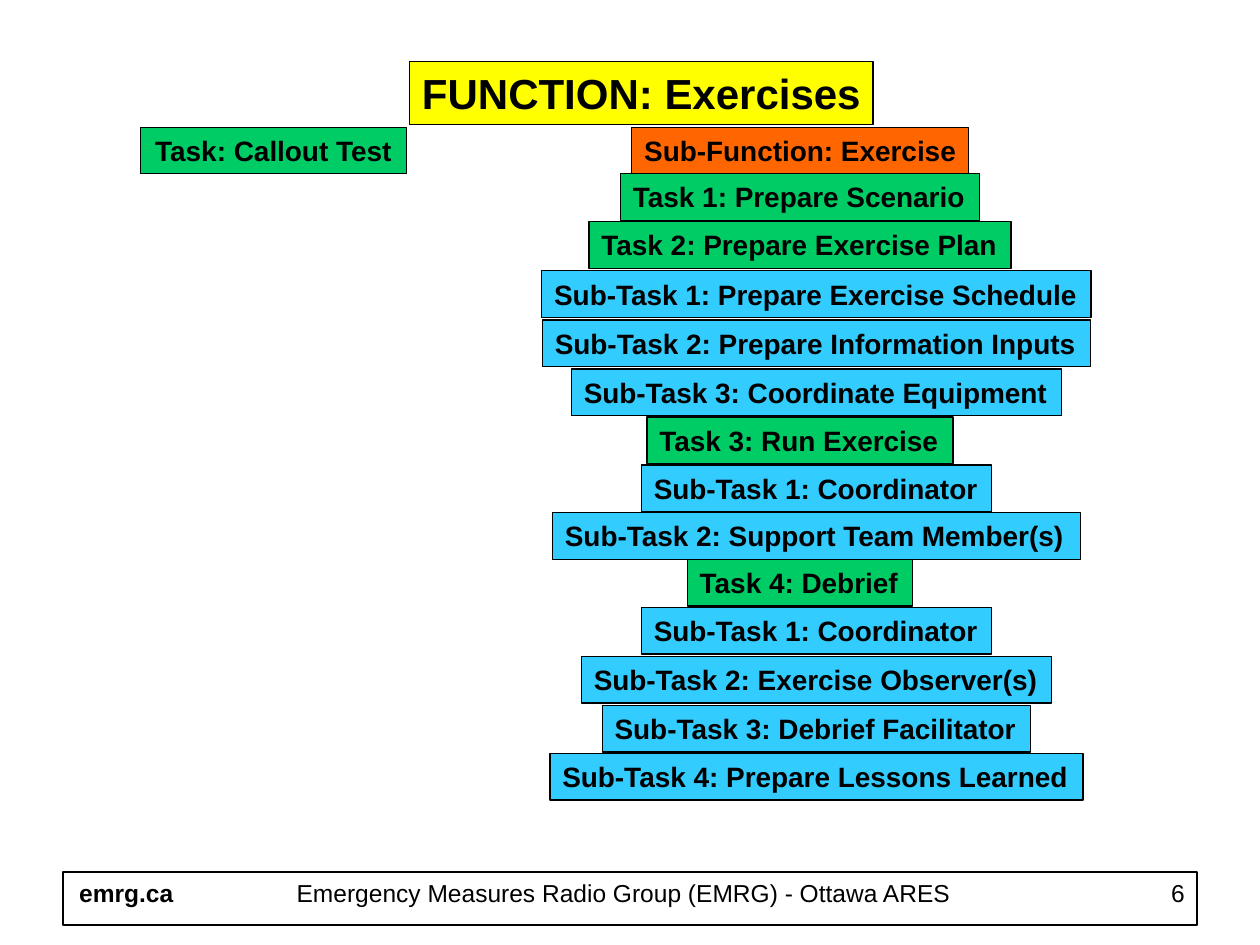
from dataclasses import dataclass

from pptx import Presentation
from pptx.dml.color import RGBColor
from pptx.enum.shapes import MSO_SHAPE
from pptx.enum.text import MSO_ANCHOR, PP_ALIGN
from pptx.util import Inches, Pt


@dataclass(frozen=True)
class Theme:
    font: str = "Arial"
    ink: str = "000000"
    function: str = "FFFF00"
    sub_function: str = "FF6600"
    task: str = "00CC66"
    sub_task: str = "33CCFF"
    title_size: int = 24
    box_size: int = 16
    footer_size: int = 14


def write(shape, text, size, theme, bold=False, align=PP_ALIGN.LEFT, wrap=False):
    frame = shape.text_frame
    frame.word_wrap = wrap
    frame.vertical_anchor = MSO_ANCHOR.TOP
    paragraph = frame.paragraphs[0]
    paragraph.alignment = align
    run = paragraph.add_run()
    run.text = text
    run.font.name = theme.font
    run.font.size = Pt(size)
    run.font.bold = bold
    run.font.color.rgb = RGBColor.from_string(theme.ink)


class SlideBuilder:
    def __init__(self, slide, theme):
        self.slide = slide
        self.theme = theme

    def box(self, left, top, width, height, fill=None, line=0.75):
        box = self.slide.shapes.add_shape(
            MSO_SHAPE.RECTANGLE, Inches(left), Inches(top), Inches(width), Inches(height))
        box.shadow.inherit = False
        if fill:
            box.fill.solid()
            box.fill.fore_color.rgb = RGBColor.from_string(fill)
        else:
            box.fill.background()
        box.line.color.rgb = RGBColor.from_string(self.theme.ink)
        box.line.width = Pt(line)
        return box

    def entry(self, center, top, width, text, fill, height=0.37, size=None,
              align=PP_ALIGN.LEFT):
        box = self.box(center - width / 2, top, width, height, fill)
        write(box, text, size or self.theme.box_size, self.theme, bold=True, align=align)

    def label(self, left, top, width, height, text, **style):
        label = self.slide.shapes.add_textbox(
            Inches(left), Inches(top), Inches(width), Inches(height))
        write(label, text, self.theme.footer_size, self.theme, **style)


def main():
    theme = Theme()
    deck = Presentation()
    deck.slide_width, deck.slide_height = Inches(10), Inches(7.5)
    builder = SlideBuilder(deck.slides.add_slide(deck.slide_layouts[6]), theme)

    # Footer
    footer_top = 6.92
    builder.box(0.5, footer_top, 9, 0.42, line=1)
    builder.label(0.53, footer_top, 0.95, 0.34, "emrg.ca", bold=True)
    builder.label(1.65, footer_top, 6.6, 0.43,
                  "Emergency Measures Radio Group (EMRG) - Ottawa ARES",
                  align=PP_ALIGN.CENTER, wrap=True)
    builder.label(8.31, footer_top, 1.19, 0.43, "6", align=PP_ALIGN.RIGHT, wrap=True)

    # Function and its stand-alone task
    builder.entry(5.09, 0.49, 3.68, "FUNCTION: Exercises", theme.function,
                  height=0.5, size=theme.title_size, align=PP_ALIGN.CENTER)
    builder.entry(2.17, 1.01, 2.11, "Task: Callout Test", theme.task,
                  align=PP_ALIGN.CENTER)

    # Exercise breakdown: each level has its own centre line and colour
    sub_function = (6.35, theme.sub_function)
    task = (6.35, theme.task)
    sub_task = (6.48, theme.sub_task)
    breakdown = [
        (sub_function, 1.01, 2.67, "Sub-Function: Exercise"),
        (task, 1.38, 2.85, "Task 1: Prepare Scenario"),
        (task, 1.76, 3.35, "Task 2: Prepare Exercise Plan"),
        (sub_task, 2.15, 4.36, "Sub-Task 1: Prepare Exercise Schedule"),
        (sub_task, 2.54, 4.35, "Sub-Task 2: Prepare Information Inputs"),
        (sub_task, 2.93, 3.89, "Sub-Task 3: Coordinate Equipment"),
        (task, 3.31, 2.43, "Task 3: Run Exercise"),
        (sub_task, 3.69, 2.78, "Sub-Task 1: Coordinator"),
        (sub_task, 4.07, 4.19, "Sub-Task 2: Support Team Member(s)"),
        (task, 4.44, 1.79, "Task 4: Debrief"),
        (sub_task, 4.82, 2.78, "Sub-Task 1: Coordinator"),
        (sub_task, 5.21, 3.73, "Sub-Task 2: Exercise Observer(s)"),
        (sub_task, 5.6, 3.4, "Sub-Task 3: Debrief Facilitator"),
        (sub_task, 5.98, 4.23, "Sub-Task 4: Prepare Lessons Learned"),
    ]
    for (center, fill), top, width, text in breakdown:
        builder.entry(center, top, width, text, fill)

    deck.save("out.pptx")


if __name__ == "__main__":
    main()
